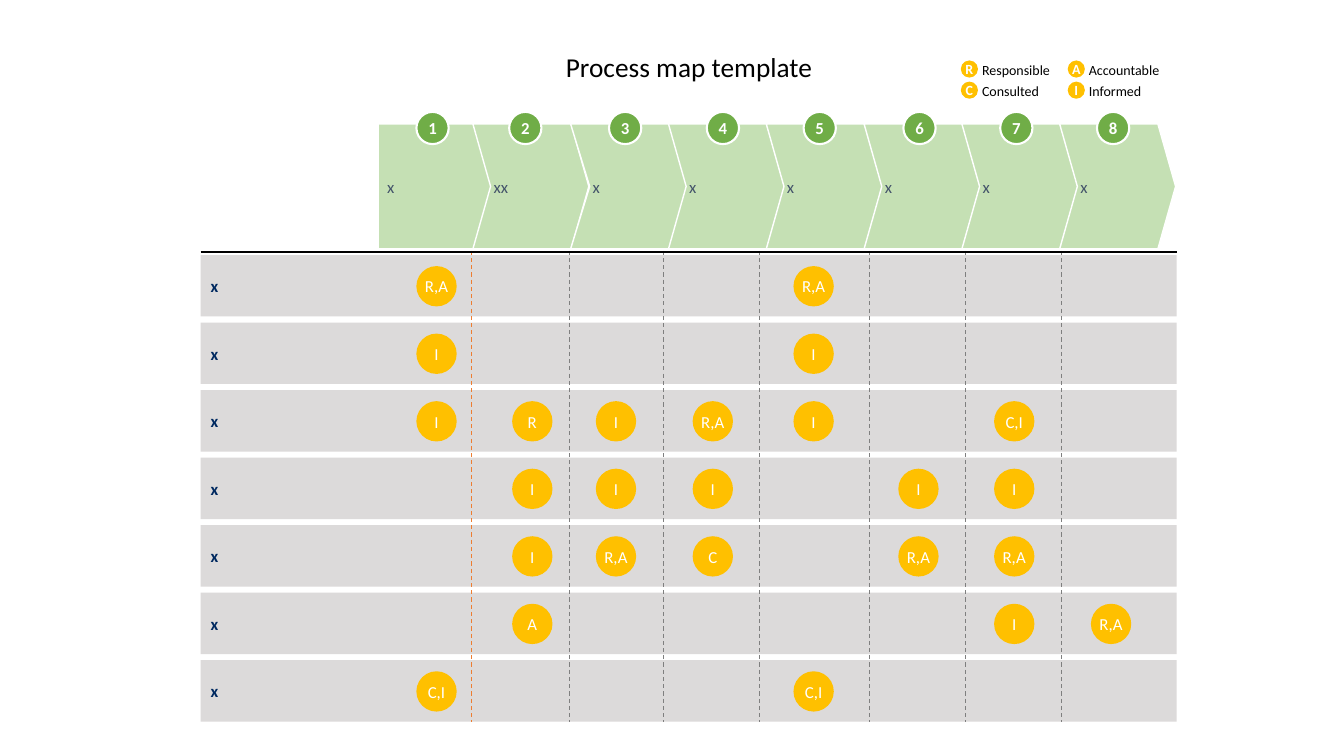
import pptx
import pptx.util
import pptx.dml.color
import pptx.enum.dml
import pptx.enum.shapes
import pptx.enum.text
import pptx.oxml

Inches = pptx.util.Inches
SHAPE = pptx.enum.shapes.MSO_SHAPE
ALIGN = pptx.enum.text.PP_ALIGN
ANCHOR = pptx.enum.text.MSO_ANCHOR
DASH = pptx.enum.dml.MSO_LINE

COLORS = {
    "black": "000000", "white": "FFFFFF", "amber": "FFC000", "band": "DCDADA",
    "navy": "002960", "step": "C5E0B4", "step_text": "44546A",
    "badge": "70AD47", "orange": "ED7D31", "gray": "7F7F7F",
}

LEFT, WIDTH = 1.99, 9.68
ROW_TOP, ROW_PITCH, ROW_HEIGHT = 2.53, 0.67, 0.61
STEP_TOP, STEP_LEFT, STEP_PITCH = 1.23, 3.72, 0.97
STEP_WIDTH, STEP_HEIGHT = 1.15, 1.24
CHIP, BADGE, KEY = 0.4, 0.32, 0.17

STEPS = ["x", "xx", "x", "x", "x", "x", "x", "x"]
BADGE_LEFTS = [4.13, 5.05, 6.04, 7.01, 7.97, 8.96, 9.92, 10.88]
CHIP_LEFTS = [4.13, 5.08, 5.91, 6.87, 7.87, 8.91, 9.86, 10.82]
DIVIDERS = [4.68, 5.65, 6.58, 7.53, 8.62, 9.58, 10.53]
ROLES = [
    ("x", ["R,A", "", "", "", "R,A", "", "", ""]),
    ("x", ["I", "", "", "", "I", "", "", ""]),
    ("x", ["I", "R", "I", "R,A", "I", "", "C,I", ""]),
    ("x", ["", "I", "I", "I", "", "I", "I", ""]),
    ("x", ["", "I", "R,A", "C", "", "R,A", "R,A", ""]),
    ("x", ["", "A", "", "", "", "", "I", "R,A"]),
    ("x", ["C,I", "", "", "", "C,I", "", "", ""]),
]
LEGEND = [
    [("Responsible", 0.68), ("Accountable", 0.71)],
    [("Consulted", 0.57), ("Informed", 0.53)],
]


def rgb(name):
    return pptx.dml.color.RGBColor.from_string(COLORS[name])


def write(s, text, size=12, color="white", bold=False, align=ALIGN.LEFT,
          anchor=ANCHOR.MIDDLE, insets=(0, 0, 0, 0), wrap=True, spacing=None):
    tf = s.text_frame
    tf.auto_size = pptx.enum.text.MSO_AUTO_SIZE.NONE
    tf.word_wrap = wrap
    tf.vertical_anchor = anchor
    tf.margin_left, tf.margin_top, tf.margin_right, tf.margin_bottom = map(Inches, insets)
    p = tf.paragraphs[0]
    p.alignment = align
    p.line_spacing = spacing
    r = p.add_run()
    r.text = text
    r.font.name = "Calibri"
    r.font.size = pptx.util.Pt(size)
    r.font.bold = bold
    r.font.color.rgb = rgb(color)


def add_block(sp, kind, x, y, w, h, fill, outline=None, adj=None):
    s = sp.add_shape(kind, *map(Inches, (x, y, w, h)))
    s.shadow.inherit = False
    s.fill.solid()
    s.fill.fore_color.rgb = rgb(fill)
    if outline:
        s.line.color.rgb = rgb("white")
        s.line.width = pptx.util.Pt(outline)
    else:
        s.line.fill.background()
    if adj:
        s.adjustments[0] = adj
    return s


def add_disc(sp, x, y, diameter, text, fill="amber", outline=None, **style):
    s = add_block(sp, SHAPE.OVAL, x, y, diameter, diameter, fill, outline)
    write(s, text, align=ALIGN.CENTER, wrap=False, **style)


def add_rule(sp, x1, y1, x2, y2, color, width, dash=None):
    s = sp.add_connector(pptx.enum.shapes.MSO_CONNECTOR.STRAIGHT,
                         *map(Inches, (x1, y1, x2, y2)))
    s.line.color.rgb = rgb(color)
    s.line.width = pptx.util.Pt(width)
    s.line.dash_style = dash
    s._element.spPr.append(pptx.oxml.parse_xml(
        '<a:effectLst xmlns:a="http://schemas.openxmlformats.org/drawingml/2006/main"/>'))


def add_title(sp, text):
    s = sp.title
    s.left, s.top, s.width, s.height = map(Inches, (2.12, 0.52, 9.43, 0.34))
    write(s, text, size=19.5, color="black", align=ALIGN.CENTER,
          anchor=ANCHOR.BOTTOM, insets=(0.1, 0.05, 0.1, 0.05), spacing=0.7)


def add_legend(sp):
    for row, entries in enumerate(LEGEND):
        for col, (label, width) in enumerate(entries):
            x, y = 9.53 + 1.06 * col, 0.6 + 0.21 * row
            add_disc(sp, x, y, KEY, label[0], size=10, bold=True)
            s = sp.add_textbox(*map(Inches, (x + 0.21, y + 0.01, width, KEY)))
            write(s, label, size=10, color="black", anchor=ANCHOR.TOP, wrap=False)


def add_grid(sp):
    for row, (label, _) in enumerate(ROLES):
        s = add_block(sp, SHAPE.RECTANGLE, LEFT, ROW_TOP + ROW_PITCH * row,
                      WIDTH, ROW_HEIGHT, "band")
        write(s, label, color="navy", bold=True, insets=(0.1, 0.05, 0.1, 0.05))
    for i, x in enumerate(DIVIDERS):
        add_rule(sp, x, 2.13, x, 7.16, "gray" if i else "orange", 0.75, DASH.DASH)
    add_rule(sp, LEFT, 2.5, LEFT + WIDTH, 2.5, "black", 1)


def add_roles(sp):
    for row, (_, roles) in enumerate(ROLES):
        for x, role in zip(CHIP_LEFTS, roles):
            if role:
                add_disc(sp, x, ROW_TOP + 0.11 + ROW_PITCH * row, CHIP, role)


def add_steps(sp):
    for i, label in enumerate(STEPS):
        x = STEP_LEFT + STEP_PITCH * i if i else 3.75
        kind, adj = (SHAPE.CHEVRON, 0.153) if i else (SHAPE.PENTAGON, 0.176)
        width = 1.27 if i == 2 else STEP_WIDTH
        s = add_block(sp, kind, x, STEP_TOP, width, STEP_HEIGHT, "step", 1, adj)
        write(s, label, color="step_text",
              insets=(0.03 if i else 0.09, 0.04, 0.02, 0.04))
    for number, x in enumerate(BADGE_LEFTS, 1):
        add_disc(sp, x, 1.11, BADGE, str(number), "badge", 1.5, bold=True)


def main():
    prs = pptx.Presentation()
    prs.slide_width, prs.slide_height = Inches(13.33), Inches(7.5)
    sp = prs.slides.add_slide(prs.slide_layouts[5]).shapes
    add_title(sp, "Process map template")
    add_legend(sp)
    add_grid(sp)
    add_roles(sp)
    add_steps(sp)
    prs.save("out.pptx")


if __name__ == "__main__":
    main()
